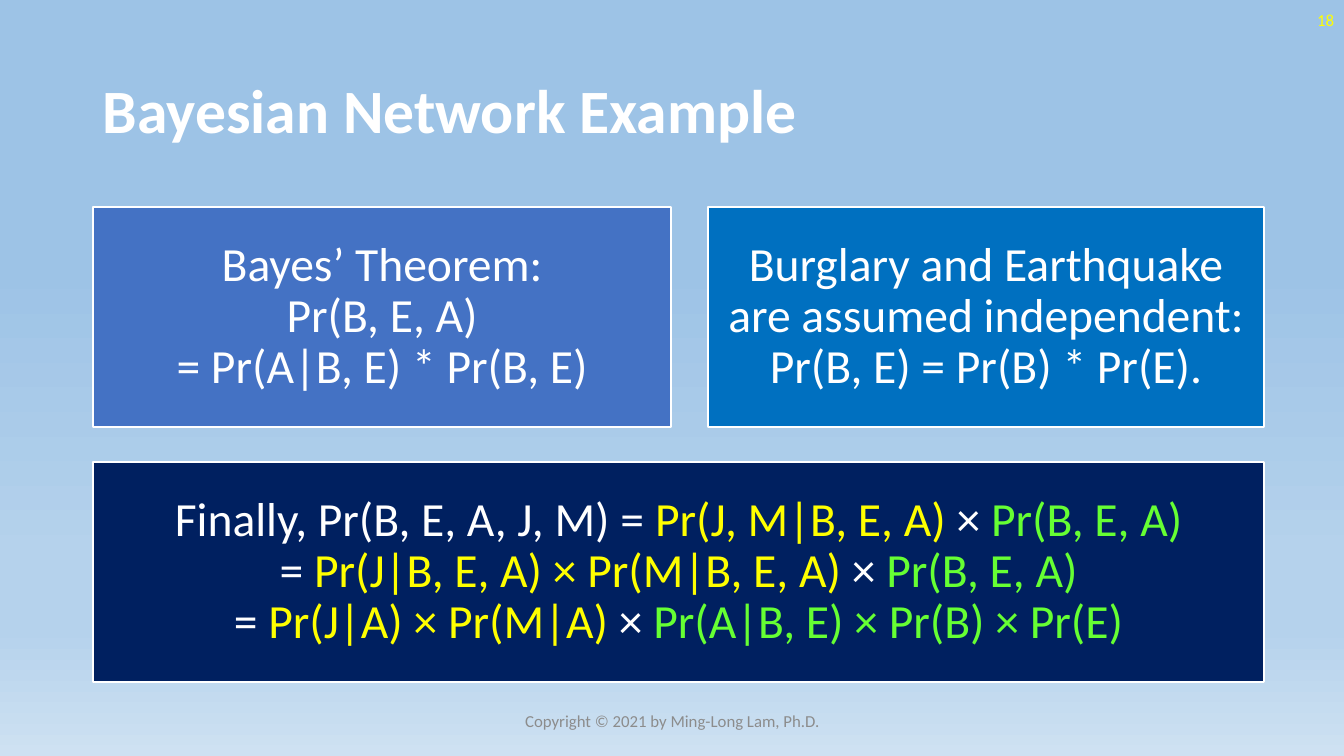
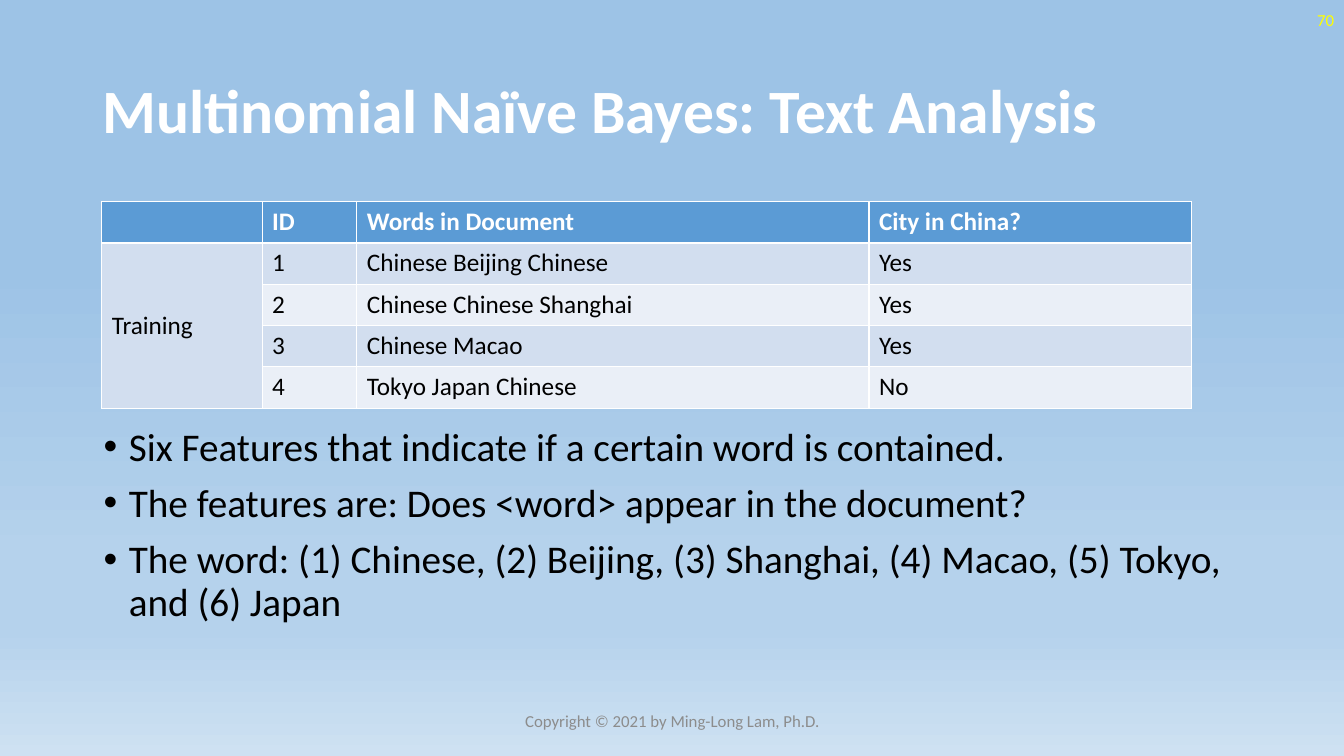
from lxml.etree import SubElement
from pptx import Presentation
from pptx.dml.color import RGBColor
from pptx.enum.shapes import MSO_SHAPE
from pptx.enum.text import MSO_ANCHOR, MSO_AUTO_SIZE, PP_ALIGN
from pptx.oxml.ns import qn
from pptx.util import Inches, Pt

FONT = "Calibri"
COLORS = {
    "white": "FFFFFF",
    "black": "000000",
    "yellow": "FFFF00",
    "green": "66FF33",
    "gray": "8C8C8C",
    "indigo": "4472C4",
    "blue": "0070C0",
    "navy": "002060",
    "header": "5B9BD5",
    "band_dark": "D2DEEF",
    "band_light": "EAEFF7",
}
BACKGROUND_STOPS = [(35, "9DC3E6"), (74, "B5D2EC"), (83, "B5D2EC"), (100, "CEE1F2")]
COPYRIGHT = "Copyright © 2021 by Ming-Long Lam, Ph.D."

BOX_LEFT, BOX_TOP, BOX_HEIGHT = 0.92, 2.05, 2.19
BOX_WIDTHS = (5.74, 5.52)
COLUMN_GAP, ROW_GAP = 0.36, 0.34

FORMULA = [
    ("Finally, Pr(B, E, A, J, M) = ", "white"),
    ("Pr(J, M|B, E, A)", "yellow"),
    (" × ", "white"),
    ("Pr(B, E, A)\n", "green"),
    ("= ", "white"),
    ("Pr(J|B, E, A) × Pr(M|B, E, A)", "yellow"),
    (" × ", "white"),
    ("Pr(B, E, A)\n", "green"),
    ("= ", "white"),
    ("Pr(J|A) × Pr(M|A)", "yellow"),
    (" × ", "white"),
    ("Pr(A|B, E) × Pr(B) × Pr(E)", "green"),
]
FEATURES = [
    "Six Features that indicate if a certain word is contained.",
    "The features are: Does <word> appear in the document?",
    "The word: (1) Chinese, (2) Beijing, (3) Shanghai, (4) Macao, (5) Tokyo, and (6) Japan",
]
DOCUMENTS = [
    ("", "ID", "Words in Document", "City in China?"),
    ("Training", "1", "Chinese Beijing Chinese", "Yes"),
    ("", "2", "Chinese Chinese Shanghai", "Yes"),
    ("", "3", "Chinese Macao", "Yes"),
    ("", "4", "Tokyo Japan Chinese", "No"),
]
DOCUMENT_WIDTHS = (1.59, 0.94, 5.08, 3.2)


def rgb(name):
    return RGBColor.from_string(COLORS[name])


def write_text(paragraph, text, size, color="black", bold=False,
               align=PP_ALIGN.LEFT, line_spacing=1.0, space_before=0):
    paragraph.alignment = align
    paragraph.line_spacing = line_spacing
    paragraph.space_before = Pt(space_before)
    runs = [(text, color)] if isinstance(text, str) else text
    for run_text, run_color in runs:
        for index, line in enumerate(run_text.split("\n")):
            if index:
                paragraph.add_line_break()
            if line:
                run = paragraph.add_run()
                run.text = line
                run.font.name = FONT
                run.font.size = Pt(size)
                run.font.bold = bold
                run.font.color.rgb = rgb(run_color)


def add_text_box(slide, left, top, width, height, anchor=MSO_ANCHOR.TOP):
    box = slide.shapes.add_textbox(Inches(left), Inches(top), Inches(width), Inches(height))
    box.text_frame.word_wrap = True
    box.text_frame.vertical_anchor = anchor
    return box.text_frame


def set_background(master):
    fill = master.background.fill
    fill.gradient()
    fill.gradient_angle = 270
    stop_list = master.element.xpath("p:cSld/p:bg//a:gsLst")[0]
    for stop in list(stop_list):
        stop_list.remove(stop)
    for position, color in BACKGROUND_STOPS:
        stop = SubElement(stop_list, qn("a:gs"), pos=str(position * 1000))
        SubElement(stop, qn("a:srgbClr"), val=color)


def add_slide(presentation, title, number):
    slide = presentation.slides.add_slide(presentation.slide_layouts.get_by_name("Title Only"))
    shape = slide.shapes.title
    shape.left, shape.top = Inches(0.92), Inches(0.4)
    shape.width, shape.height = Inches(11.5), Inches(1.45)
    frame = shape.text_frame
    frame.word_wrap = True
    frame.auto_size = MSO_AUTO_SIZE.NONE
    frame.vertical_anchor = MSO_ANCHOR.MIDDLE
    write_text(frame.paragraphs[0], title, 44, color="white", bold=True, line_spacing=0.9)
    number_frame = add_text_box(slide, 10.33, 0, 3, 0.4, MSO_ANCHOR.MIDDLE)
    write_text(number_frame.paragraphs[0], number, 12, color="yellow", align=PP_ALIGN.RIGHT)
    footer_frame = add_text_box(slide, 4.42, 6.95, 4.5, 0.4, MSO_ANCHOR.MIDDLE)
    write_text(footer_frame.paragraphs[0], COPYRIGHT, 12, color="gray", align=PP_ALIGN.CENTER)
    return slide


def add_box(slide, left, top, width, fill, text):
    box = slide.shapes.add_shape(MSO_SHAPE.RECTANGLE, Inches(left), Inches(top),
                                 Inches(width), Inches(BOX_HEIGHT))
    box.shadow.inherit = False
    box.fill.solid()
    box.fill.fore_color.rgb = rgb(fill)
    box.line.color.rgb = rgb("white")
    box.line.width = Pt(1.5)
    frame = box.text_frame
    frame.word_wrap = True
    frame.vertical_anchor = MSO_ANCHOR.MIDDLE
    frame.margin_left = frame.margin_right = Inches(0.14)
    frame.margin_top = frame.margin_bottom = Inches(0.14)
    write_text(frame.paragraphs[0], text, 34, color="white",
               align=PP_ALIGN.CENTER, line_spacing=0.9)


def add_bullets(slide, items, left, top, width, height):
    frame = add_text_box(slide, left, top, width, height)
    for index, item in enumerate(items):
        paragraph = frame.add_paragraph() if index else frame.paragraphs[0]
        write_text(paragraph, item, 28, line_spacing=0.9, space_before=10 if index else 0)
        properties = paragraph._p.get_or_add_pPr()
        properties.set("marL", str(Inches(0.25)))
        properties.set("indent", str(-Inches(0.25)))
        SubElement(properties, qn("a:buFont"), typeface="Arial")
        SubElement(properties, qn("a:buChar"), char="•")


def add_table(slide, rows, widths, left, top, row_height):
    frame = slide.shapes.add_table(len(rows), len(widths), Inches(left), Inches(top),
                                   Inches(sum(widths)), Inches(row_height * len(rows)))
    table = frame.table
    for column, width in zip(table.columns, widths):
        column.width = Inches(width)
    for row_index, row in enumerate(rows):
        is_header = row_index == 0
        band = "header" if is_header else ("band_light", "band_dark")[row_index % 2]
        for column_index, text in enumerate(row):
            cell = table.cell(row_index, column_index)
            cell.fill.solid()
            cell.fill.fore_color.rgb = rgb(band)
            write_text(cell.text_frame.paragraphs[0], text, 18,
                       color="white" if is_header else "black", bold=is_header)
    group_cell = table.cell(1, 0)
    group_cell.merge(table.cell(len(rows) - 1, 0))
    group_cell.vertical_anchor = MSO_ANCHOR.MIDDLE


def build_network_slide(presentation):
    slide = add_slide(presentation, "Bayesian Network Example", "18")
    theorem_width, independence_width = BOX_WIDTHS
    add_box(slide, BOX_LEFT, BOX_TOP, theorem_width, "indigo",
            "Bayes’ Theorem:\nPr(B, E, A)\n= Pr(A|B, E) * Pr(B, E)")
    add_box(slide, BOX_LEFT + theorem_width + COLUMN_GAP, BOX_TOP, independence_width, "blue",
            "Burglary and Earthquake are assumed independent:\nPr(B, E) = Pr(B) * Pr(E).")
    add_box(slide, BOX_LEFT, BOX_TOP + BOX_HEIGHT + ROW_GAP,
            sum(BOX_WIDTHS) + COLUMN_GAP, "navy", FORMULA)


def build_text_analysis_slide(presentation):
    slide = add_slide(presentation, "Multinomial Naïve Bayes: Text Analysis", "70")
    add_bullets(slide, FEATURES, 0.93, 4.19, 11.34, 2.56)
    add_table(slide, DOCUMENTS, DOCUMENT_WIDTHS, 1.01, 2, 0.41)


def main():
    presentation = Presentation()
    presentation.slide_width = Inches(13.33)
    presentation.slide_height = Inches(7.5)
    set_background(presentation.slide_master)
    build_network_slide(presentation)
    build_text_analysis_slide(presentation)
    presentation.save("out.pptx")


if __name__ == "__main__":
    main()
